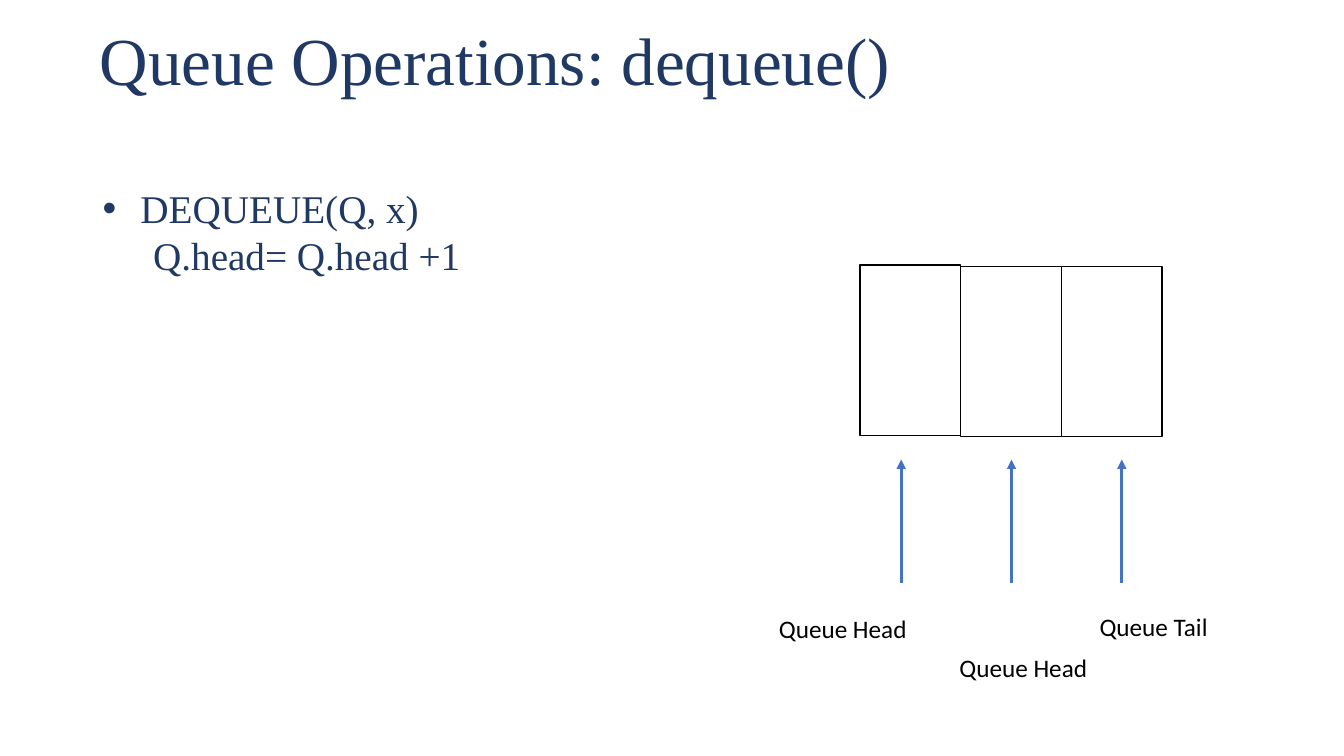
from lxml import etree
from pptx import Presentation
from pptx.dml.color import RGBColor
from pptx.enum.shapes import MSO_CONNECTOR as Connector, MSO_SHAPE as Shape
from pptx.enum.text import MSO_ANCHOR as Anchor
from pptx.oxml.ns import qn
from pptx.util import Cm, Pt

# Content: boxes are left, top, width, height in cm
TITLE = ("Queue Operations: dequeue()", (2.26, 0.51, 26.59, 2.13))
CODE_BOX = (2.34, 4.52, 16.94, 3.84)
CODE_LINES = [  # text, left margin, first-line indent, bullet
    ("DEQUEUE(Q, x)", 0.95, -0.95, "•"),
    ("Q.head= Q.head +1", 1.27, 0, None),
]
LABELS = [
    ("Queue Head", (19.38, 15.34, 4.37, 1.02)),
    ("Queue Head", (23.93, 16.31, 4.37, 1.02)),
    ("Queue Tail", (27.46, 15.29, 4.04, 1.02)),
]
CELL_LEFT, CELL_WIDTH, CELL_HEIGHT = 21.67, 2.54, 4.29
CELL_TOPS = [6.68, 6.71, 6.71]
ARROW_LEFT, ARROW_STEP, ARROW_COUNT = 22.71, 2.78, 3
ARROW_BOTTOM, ARROW_TOP = 14.68, 11.58


class Theme:
    navy = RGBColor(0x1F, 0x38, 0x64)
    blue = RGBColor(0x44, 0x72, 0xC4)
    black = RGBColor(0, 0, 0)
    white = RGBColor(255, 255, 255)
    serif, sans = "Times New Roman", "Calibri"
    title_size, code_size, label_size = Pt(48), Pt(28), Pt(18)
    cell_line, arrow_line = Pt(1), Pt(2.25)


def set_font(para, name, size, color):
    para.font.name, para.font.size = name, size
    para.font.color.rgb = color


def add_text_frame(page, area):
    frame = page.shapes.add_textbox(*map(Cm, area)).text_frame
    frame.word_wrap = True
    return frame


def set_indent(para, margin, indent, bullet):
    props = para._p.get_or_add_pPr()
    props.set("marL", str(Cm(margin)))
    props.set("indent", str(Cm(indent)))
    if bullet:
        color = etree.SubElement(props, qn("a:buClr"))
        etree.SubElement(color, qn("a:srgbClr"), val=str(Theme.navy))
        etree.SubElement(props, qn("a:buFont"), typeface="Arial")
        etree.SubElement(props, qn("a:buChar"), char=bullet)
    else:
        etree.SubElement(props, qn("a:buNone"))


def add_cell(page, left, top):
    cell = page.shapes.add_shape(
        Shape.RECTANGLE, Cm(left), Cm(top), Cm(CELL_WIDTH), Cm(CELL_HEIGHT))
    cell.shadow.inherit = False
    cell.fill.solid()
    cell.fill.fore_color.rgb = Theme.white
    cell.line.color.rgb = Theme.black
    cell.line.width = Theme.cell_line


def add_arrow(page, x):
    arrow = page.shapes.add_connector(
        Connector.STRAIGHT, Cm(x), Cm(ARROW_BOTTOM), Cm(x), Cm(ARROW_TOP))
    arrow.line.color.rgb = Theme.blue
    arrow.line.width = Theme.arrow_line
    etree.SubElement(arrow.line._get_or_add_ln(), qn("a:tailEnd"), type="triangle")
    etree.SubElement(arrow._element.spPr, qn("a:effectLst"))


def main():
    deck = Presentation()
    deck.slide_width, deck.slide_height = Cm(33.87), Cm(19.05)
    page = deck.slides.add_slide(deck.slide_layouts[6])

    # Title
    text, area = TITLE
    frame = add_text_frame(page, area)
    frame.vertical_anchor = Anchor.BOTTOM
    para = frame.paragraphs[0]
    para.text, para.line_spacing = text, 0.9
    set_font(para, Theme.serif, Theme.title_size, Theme.navy)

    # Queue cells, the middle one in front
    for index in (0, 2, 1):
        add_cell(page, CELL_LEFT + index * CELL_WIDTH, CELL_TOPS[index])

    # Pointer arrows and their labels
    for index in range(ARROW_COUNT):
        add_arrow(page, ARROW_LEFT + index * ARROW_STEP)
    for text, area in LABELS:
        para = add_text_frame(page, area).paragraphs[0]
        para.text = text
        set_font(para, Theme.sans, Theme.label_size, Theme.black)

    # Pseudocode
    frame = add_text_frame(page, CODE_BOX)
    for index, (text, margin, indent, bullet) in enumerate(CODE_LINES):
        para = frame.add_paragraph() if index else frame.paragraphs[0]
        para.text = text
        para.level = index
        set_indent(para, margin, indent, bullet)
        set_font(para, Theme.serif, Theme.code_size, Theme.navy)

    deck.save("out.pptx")


if __name__ == "__main__":
    main()
